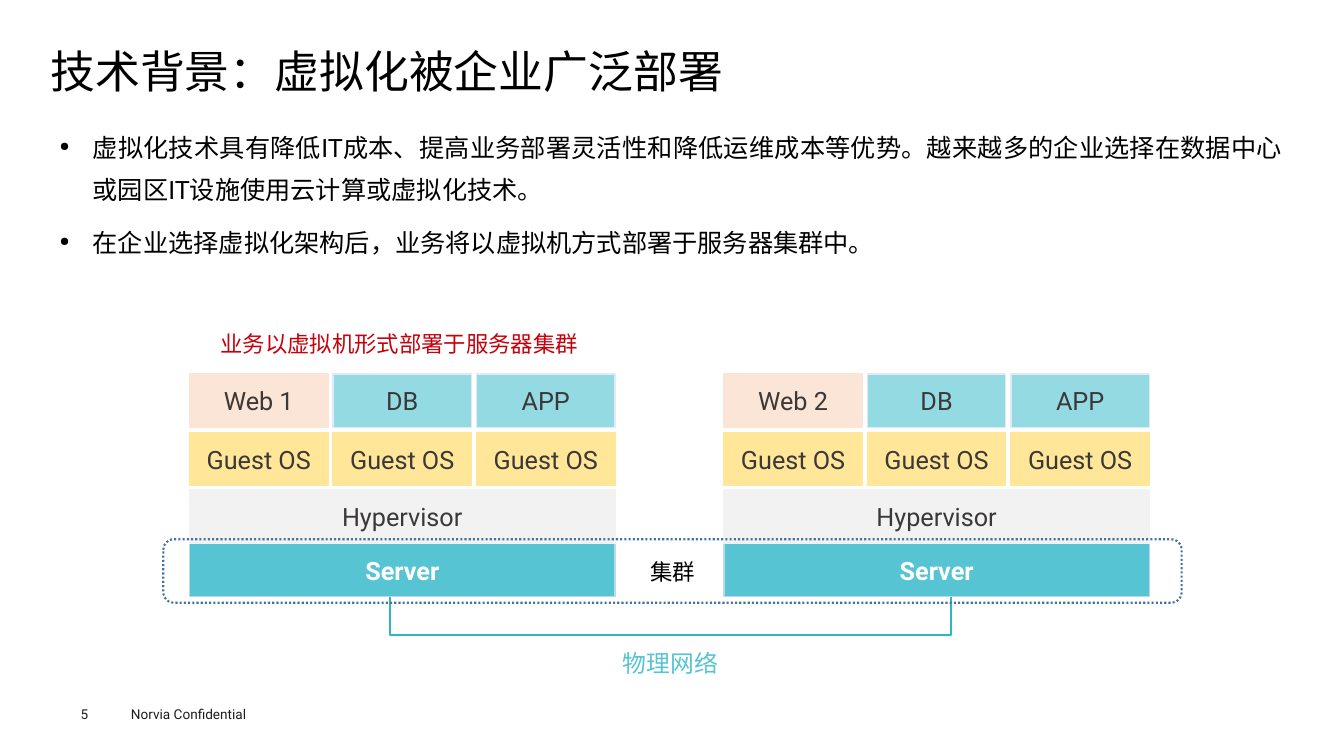
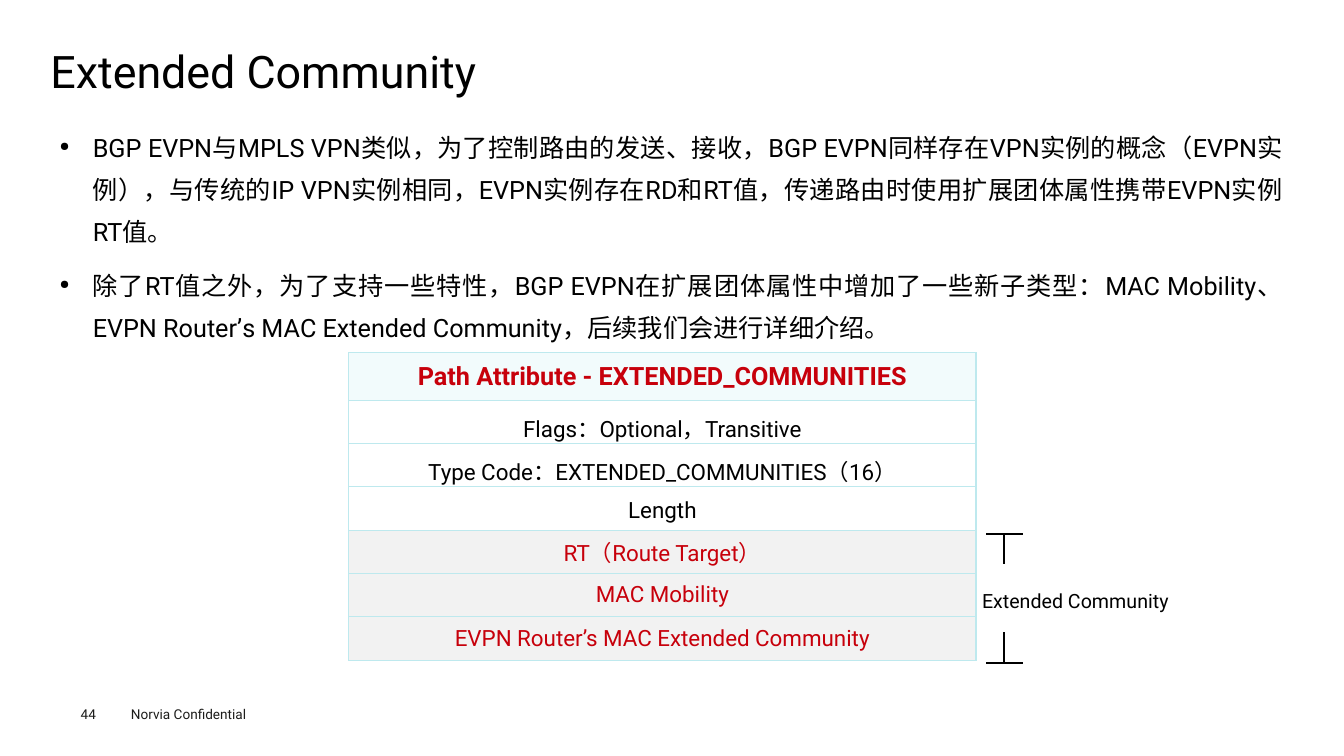
from dataclasses import dataclass
from typing import Optional

from pptx import Presentation
from pptx.dml.color import RGBColor
from pptx.enum.dml import MSO_LINE
from pptx.enum.lang import MSO_LANGUAGE_ID as Language
from pptx.enum.shapes import MSO_CONNECTOR as Connector, MSO_SHAPE as Preset
from pptx.enum.text import MSO_ANCHOR as Anchor, PP_ALIGN as Align
from pptx.oxml.ns import qn
from pptx.util import Inches, Pt
from lxml.etree import SubElement

FONT = "Roboto"
BLACK, RED, WHITE = "000000", "C7000B", "FFFFFF"
FOOTER_GREY, DARK_GREY, LIGHT_GREY = "1D1D1B", "3B3838", "F2F2F2"
TEAL, LIGHT_TEAL, NETWORK_TEAL = "56C4D2", "94DAE2", "30B5C5"
YELLOW, PEACH, PALE_BLUE, BORDER_BLUE = "FFE699", "FBE5D6", "DEEBF7", "BDD7EE"
CLUSTER_BLUE, HEADER_TINT, TABLE_BORDER = "43739E", "F2FBFC", "BEE9EE"
BODY_INSETS = (0.09, 0.04, 0.09, 0.04)
NO_INSETS = (0, 0, 0, 0)


@dataclass(frozen=True)
class Box:
    left: float
    top: float
    width: float
    height: float

    def lengths(self) -> tuple:
        return tuple(Inches(value) for value in (self.left, self.top, self.width, self.height))


@dataclass(frozen=True)
class TextStyle:
    size: float = 18
    color: str = BLACK
    bold: bool = False
    align: Align = Align.LEFT
    spacing: Optional[float] = None
    east_asian: bool = True


@dataclass(frozen=True)
class Block:
    """One coloured block of a server stack."""
    text: str
    fill: str
    line: str
    color: str = DARK_GREY
    bold: bool = False


@dataclass(frozen=True)
class Row:
    text: str
    height: float = 0.43
    size: float = 16
    color: str = BLACK
    bold: bool = False
    spacing: Optional[float] = None
    fill: Optional[str] = None


TITLE = TextStyle(32, spacing=0.9)
BODY = TextStyle(18, align=Align.JUSTIFY, spacing=1.4)
FOOTER = TextStyle(9.7, FOOTER_GREY)


def rgb(value: str) -> RGBColor:
    return RGBColor.from_string(value)


def set_attributes(target, values: dict) -> None:
    for name, value in values.items():
        setattr(target, name, value)


def write(paragraph, text: str, style: TextStyle) -> None:
    set_attributes(paragraph, {"alignment": style.align, "line_spacing": style.spacing})
    run = paragraph.add_run()
    run.text = text
    set_attributes(run.font, {
        "name": FONT, "size": Pt(style.size), "bold": style.bold,
        "language_id": Language.SIMPLIFIED_CHINESE,
    })
    run.font.color.rgb = rgb(style.color)
    if style.east_asian:
        SubElement(run.font._element, qn("a:ea"), typeface=FONT)


def add_text(slide, box: Box, text: str, style: TextStyle, insets=None, wrap: bool = True):
    frame = slide.shapes.add_textbox(*box.lengths()).text_frame
    frame.word_wrap = wrap
    if insets is not None:
        sides = ("margin_left", "margin_top", "margin_right", "margin_bottom")
        set_attributes(frame, {side: Inches(inset) for side, inset in zip(sides, insets)})
    write(frame.paragraphs[0], text, style)
    return frame


def add_bullet(paragraph) -> None:
    properties = paragraph._p.get_or_add_pPr()
    properties.set("marL", str(Inches(0.33)))
    properties.set("indent", str(-Inches(0.33)))
    SubElement(properties, qn("a:buSzPct"), val="50000")
    SubElement(properties, qn("a:buChar"), char="●")


def add_body(slide, height: float, texts: list[str]) -> None:
    frame = add_text(slide, Box(0.5, 1.15, 12.31, height), texts[0], BODY, BODY_INSETS)
    add_bullet(frame.paragraphs[0])
    for text in texts[1:]:
        paragraph = frame.add_paragraph()
        add_bullet(paragraph)
        paragraph.space_before = Pt(7.9)
        write(paragraph, text, BODY)


def new_slide(presentation, title: str, number: int):
    """Add a blank slide with the shared title and footer."""
    slide = presentation.slides.add_slide(presentation.slide_layouts[6])
    add_text(slide, Box(1.2, 6.95, 1.6, 0.27), "Norvia Confidential", FOOTER)
    add_text(slide, Box(0.8, 7, 0.55, 0.16), str(number), FOOTER, NO_INSETS)
    add_text(slide, Box(0.5, 0.49, 12.31, 0.53), title, TITLE, NO_INSETS)
    return slide


def set_line(shape, color: str, width: float) -> None:
    shape.line.color.rgb = rgb(color)
    shape.line.width = Pt(width)


def add_block(slide, box: Box, block: Block) -> None:
    shape = slide.shapes.add_shape(Preset.RECTANGLE, *box.lengths())
    shape.shadow.inherit = False
    shape.fill.solid()
    shape.fill.fore_color.rgb = rgb(block.fill)
    set_line(shape, block.line, 1)
    shape.text_frame.vertical_anchor = Anchor.MIDDLE
    style = TextStyle(18, block.color, block.bold, Align.CENTER)
    write(shape.text_frame.paragraphs[0], block.text, style)


def add_server_stack(slide, left: float, web_name: str) -> None:
    stack_width, gap, height = 4.22, 0.05, 0.53
    layers = {
        5.39: [Block("Server", TEAL, BORDER_BLUE, WHITE, True)],
        4.86: [Block("Hypervisor", LIGHT_GREY, LIGHT_GREY)],
        4.29: [Block("Guest OS", YELLOW, YELLOW)] * 3,
        3.71: [Block(web_name, PEACH, PEACH),
               Block("DB", LIGHT_TEAL, PALE_BLUE),
               Block("APP", LIGHT_TEAL, PALE_BLUE)],
    }
    for top, blocks in layers.items():
        width = (stack_width - gap * (len(blocks) - 1)) / len(blocks)
        for index, block in enumerate(blocks):
            add_block(slide, Box(left + index * (width + gap), top, width, height), block)


def add_physical_network(slide) -> None:
    left, right, top, bottom = 3.87, 9.43, 5.92, 6.3
    builder = slide.shapes.build_freeform(Inches(left), Inches(top))
    corners = [(left, bottom), (right, bottom), (right, top)]
    builder.add_line_segments([(Inches(x), Inches(y)) for x, y in corners], close=False)
    shape = builder.convert_to_shape()
    shape.shadow.inherit = False
    shape.fill.background()
    set_line(shape, NETWORK_TEAL, 1.5)


def add_cluster_frame(slide) -> None:
    shape = slide.shapes.add_shape(Preset.ROUNDED_RECTANGLE, *Box(1.62, 5.35, 10.1, 0.63).lengths())
    shape.shadow.inherit = False
    shape.fill.background()
    set_line(shape, CLUSTER_BLUE, 1.5)
    shape.line.dash_style = MSO_LINE.ROUND_DOT


def add_line(slide, start: tuple, end: tuple) -> None:
    points = [Inches(value) for value in (*start, *end)]
    line = slide.shapes.add_connector(Connector.STRAIGHT, *points)
    set_line(line, BLACK, 1.5)
    SubElement(line._element.spPr, qn("a:effectLst"))


def add_range_end(slide, bar_y: float, stem_y: float) -> None:
    """Draw a T-shaped end of the range marked beside the table."""
    add_line(slide, (9.78, bar_y), (10.15, bar_y))
    add_line(slide, (9.96, bar_y), (9.96, stem_y))


def set_borders(cell) -> None:
    properties = cell._tc.get_or_add_tcPr()
    for index, side in enumerate(("lnL", "lnR", "lnT", "lnB")):
        border = SubElement(properties, qn(f"a:{side}"), w=str(Pt(1)))
        fill = SubElement(border, qn("a:solidFill"))
        SubElement(fill, qn("a:srgbClr"), val=TABLE_BORDER)
        properties.insert(index, border)


def add_attribute_table(slide, rows: list[Row]) -> None:
    box = Box(3.46, 3.5, 6.22, sum(row.height for row in rows))
    table = slide.shapes.add_table(len(rows), 1, *box.lengths()).table
    set_attributes(table, {"first_row": False, "horz_banding": False})
    for index, row in enumerate(rows):
        table.rows[index].height = Inches(row.height)
        cell = table.cell(index, 0)
        cell.vertical_anchor = Anchor.MIDDLE
        if row.fill:
            cell.fill.solid()
            cell.fill.fore_color.rgb = rgb(row.fill)
        else:
            cell.fill.background()
        set_borders(cell)
        style = TextStyle(row.size, row.color, row.bold, Align.CENTER, row.spacing, False)
        write(cell.text_frame.paragraphs[0], row.text, style)


def build_virtualization(presentation) -> None:
    slide = new_slide(presentation, "技术背景：虚拟化被企业广泛部署", 5)
    add_body(slide, 1.54, [
        "虚拟化技术具有降低IT成本、提高业务部署灵活性和降低运维成本等优势。"
        "越来越多的企业选择在数据中心或园区IT设施使用云计算或虚拟化技术。",
        "在企业选择虚拟化架构后，业务将以虚拟机方式部署于服务器集群中。",
    ])
    for left, web_name in ((1.88, "Web 1"), (7.18, "Web 2")):
        add_server_stack(slide, left, web_name)
    add_physical_network(slide)
    add_cluster_frame(slide)
    labels = [
        (Box(2.09, 3.23, 3.79, 0.37), "业务以虚拟机形式部署于服务器集群", TextStyle(16, RED)),
        (Box(6.35, 5.49, 0.65, 0.37), "集群", TextStyle(16)),
        (Box(6.08, 6.39, 1.16, 0.39), "物理网络", TextStyle(17, TEAL)),
    ]
    for box, text, style in labels:
        add_text(slide, box, text, style, wrap=False)


def build_extended_community(presentation) -> None:
    slide = new_slide(presentation, "Extended Community", 44)
    add_body(slide, 2.24, [
        "BGP EVPN与MPLS VPN类似，为了控制路由的发送、接收，BGP EVPN同样存在VPN实例的概念"
        "（EVPN实例），与传统的IP VPN实例相同，EVPN实例存在RD和RT值，"
        "传递路由时使用扩展团体属性携带EVPN实例RT值。",
        "除了RT值之外，为了支持一些特性，BGP EVPN在扩展团体属性中增加了一些新子类型："
        "MAC Mobility、EVPN Router’s MAC Extended Community，后续我们会进行详细介绍。",
    ])
    fields = ["Flags：Optional，Transitive", "Type Code：EXTENDED_COMMUNITIES（16）", "Length"]
    communities = ["RT（Route Target）", "MAC Mobility", "EVPN Router’s MAC Extended Community"]
    add_attribute_table(slide, [
        Row("Path Attribute - EXTENDED_COMMUNITIES", 0.47, 18, RED, True, fill=HEADER_TINT),
        *(Row(text, spacing=1.2) for text in fields),
        *(Row(text, color=RED, fill=LIGHT_GREY) for text in communities),
    ])
    add_text(slide, Box(9.65, 5.71, 2.16, 0.38), "Extended Community",
             TextStyle(14, spacing=1.4), BODY_INSETS)
    add_range_end(slide, 5.3, 5.6)
    add_range_end(slide, 6.58, 6.27)


def main() -> None:
    presentation = Presentation()
    set_attributes(presentation, {"slide_width": Inches(13.33), "slide_height": Inches(7.5)})
    build_virtualization(presentation)
    build_extended_community(presentation)
    presentation.save("out.pptx")


if __name__ == "__main__":
    main()
